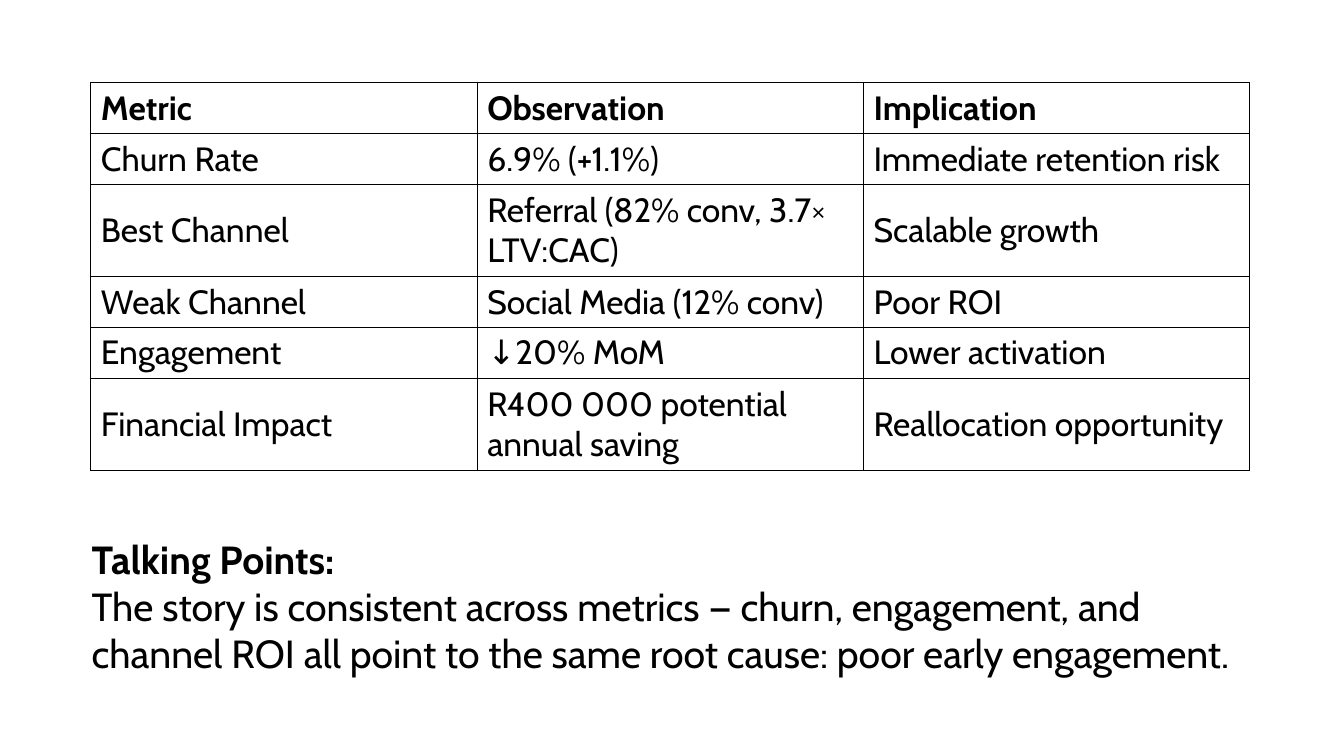
from dataclasses import dataclass

from lxml import etree
from pptx import Presentation
from pptx.dml.color import RGBColor
from pptx.enum import text
from pptx.oxml import ns
from pptx.util import Cm, Pt

METRICS = [
    ("Metric", "Observation", "Implication"),
    ("Churn Rate", "6.9% (+1.1%)", "Immediate retention risk"),
    ("Best Channel", "Referral (82% conv, 3.7× LTV:CAC)", "Scalable growth"),
    ("Weak Channel", "Social Media (12% conv)", "Poor ROI"),
    ("Engagement", "↓20% MoM", "Lower activation"),
    ("Financial Impact", "R400 000 potential annual saving", "Reallocation opportunity"),
]
TALKING_POINTS = [
    "Talking Points:",
    "The story is consistent across metrics — churn, engagement, and channel ROI "
    "all point to the same root cause: poor early engagement.",
]
TWO_LINE_ROWS = {2, 5}
SINGLE_HEIGHT, DOUBLE_HEIGHT = Cm(1.28), Cm(2.32)


@dataclass(frozen=True)
class Theme:
    font: str = "Cabin"
    ink: str = "000000"
    table_size: int = 24
    talking_size: int = 28
    border: int = Pt(1)


THEME = Theme()


def style(para, size, bold):
    para.font.name = THEME.font
    para.font.size = Pt(size)
    para.font.bold = bold
    para.font.color.rgb = RGBColor.from_string(THEME.ink)


def add_borders(cell):
    properties = cell._tc.get_or_add_tcPr()
    for side in ("a:lnL", "a:lnR", "a:lnT", "a:lnB"):
        line = etree.SubElement(properties, ns.qn(side), w=str(THEME.border))
        fill = etree.SubElement(line, ns.qn("a:solidFill"))
        etree.SubElement(fill, ns.qn("a:srgbClr"), val=THEME.ink)


def add_metrics_table(page):
    heights = [DOUBLE_HEIGHT if i in TWO_LINE_ROWS else SINGLE_HEIGHT
               for i in range(len(METRICS))]
    frame = page.shapes.add_table(len(METRICS), len(METRICS[0]),
                                  Cm(2.29), Cm(2.08), Cm(29.21), sum(heights))
    table = frame.table
    table.first_row = table.horz_banding = False
    for r, (values, height) in enumerate(zip(METRICS, heights)):
        table.rows[r].height = height
        for c, value in enumerate(values):
            cell = table.cell(r, c)
            cell.text = value
            cell.vertical_anchor = text.MSO_ANCHOR.MIDDLE
            style(cell.text_frame.paragraphs[0], THEME.table_size, r == 0)
            add_borders(cell)
            cell.fill.background()


def add_talking_points(page):
    box = page.shapes.add_textbox(Cm(2.06), Cm(13.36), Cm(29.74), Cm(3.84))
    frame = box.text_frame
    frame.word_wrap = True
    frame.auto_size = text.MSO_AUTO_SIZE.SHAPE_TO_FIT_TEXT
    frame.text = "\n".join(TALKING_POINTS)
    for i, para in enumerate(frame.paragraphs):
        style(para, THEME.talking_size, i == 0)


def main():
    deck = Presentation()
    deck.slide_width, deck.slide_height = Cm(33.87), Cm(19.05)
    page = deck.slides.add_slide(deck.slide_layouts.get_by_name("Blank"))
    add_metrics_table(page)
    add_talking_points(page)
    deck.save("out.pptx")


if __name__ == "__main__":
    main()
